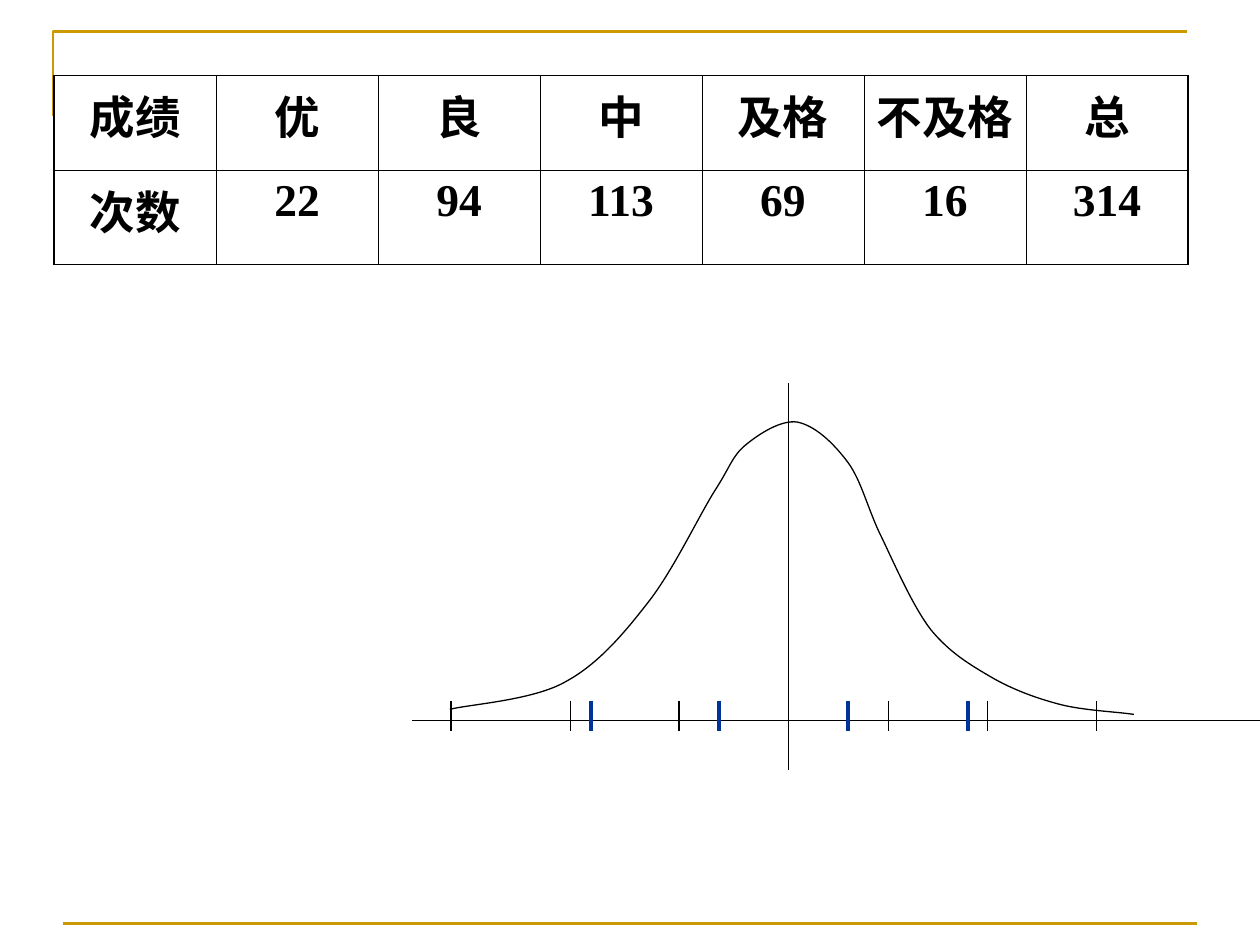
from dataclasses import dataclass

from lxml import etree
from pptx import Presentation
from pptx import util as u
from pptx.dml.color import RGBColor
from pptx.enum import shapes, text
from pptx.oxml.ns import qn

BLACK, GOLD, BLUE = "000000", "CC9900", "003399"
THIN, THICK = 0.45, 1.08
TABLE_LEFT, TABLE_TOP, TABLE_WIDTH, ROW_HEIGHT = 0.43, 0.6, 9, 0.75

GRADES = [
    ["成绩", "优", "良", "中", "及格", "不及格", "总"],
    ["次数", "22", "94", "113", "69", "16", "314"],
]

BELL_START = (3.57, 5.63)
BELL_CURVES = [
    [(3.72, 5.59), (4.23, 5.56), (4.49, 5.41)],
    [(4.75, 5.27), (4.96, 5.02), (5.16, 4.76)],
    [(5.35, 4.51), (5.54, 4.11), (5.67, 3.9)],
    [(5.8, 3.7), (5.81, 3.62), (5.92, 3.53)],
    [(6.03, 3.44), (6.2, 3.33), (6.33, 3.35)],
    [(6.47, 3.38), (6.61, 3.51), (6.73, 3.67)],
    [(6.84, 3.82), (6.89, 4.05), (7, 4.27)],
    [(7.11, 4.5), (7.25, 4.82), (7.39, 5)],
    [(7.54, 5.18), (7.69, 5.27), (7.86, 5.37)],
    [(8.03, 5.47), (8.22, 5.54), (8.41, 5.59)],
    [(8.6, 5.64), (8.88, 5.65), (9, 5.67)],
]


@dataclass
class Rule:
    x1: float
    y1: float
    x2: float
    y2: float
    color: str = BLACK
    width: float = 0.75


def tick(x: float, color: str = BLACK, width: float = 0.75) -> Rule:
    return Rule(x, 5.56, x, 5.8, color, width)


FOOTER = Rule(0.5, 7.33, 9.5, 7.33, GOLD, 1.5)
AXES = [
    Rule(3.27, 5.72, 10, 5.72),
    Rule(6.34, 3.12, 6.34, 3.12),
    Rule(6.26, 3.04, 6.26, 6.11),
]
SIGMA_TICKS = [tick(x) for x in (3.58, 4.53, 5.39, 7.05, 7.84, 8.7)]
GRADE_TICKS = [tick(x, BLUE, 2.25) for x in (4.69, 5.71, 6.73, 7.68)]


def rgb(color: str) -> RGBColor:
    return RGBColor.from_string(color)


def style_line(line, color: str, width: float) -> None:
    line.color.rgb = rgb(color)
    line.width = u.Pt(width)


def draw_rule(slide, rule: Rule) -> None:
    ends = [u.Inches(v) for v in (rule.x1, rule.y1, rule.x2, rule.y2)]
    connector = slide.shapes.add_connector(shapes.MSO_CONNECTOR.STRAIGHT, *ends)
    style_line(connector.line, rule.color, rule.width)
    etree.SubElement(connector._element.spPr, qn("a:effectLst"))


def draw_path(slide, points: list, color: str, width: float):
    start, *rest = [(u.Inches(x), u.Inches(y)) for x, y in points]
    builder = slide.shapes.build_freeform(*start)
    builder.add_line_segments(rest, close=False)
    outline = builder.convert_to_shape()
    outline.shadow.inherit = False
    outline.fill.background()
    style_line(outline.line, color, width)
    return outline


def draw_bell(slide) -> None:
    anchors = [BELL_START] + [curve[-1] for curve in BELL_CURVES]
    bell = draw_path(slide, anchors, BLACK, 0.75)
    segments = list(bell._element.iter(qn("a:lnTo")))
    for segment, curve in zip(segments, BELL_CURVES):
        bezier = etree.Element(qn("a:cubicBezTo"))
        for x, y in curve:
            point = etree.SubElement(bezier, qn("a:pt"))
            point.set("x", str(u.Inches(x) - bell.left))
            point.set("y", str(u.Inches(y) - bell.top))
        segment.getparent().replace(segment, bezier)


def set_borders(cell, widths: dict[str, float]) -> None:
    properties = cell._tc.get_or_add_tcPr()
    for index, (side, width) in enumerate(widths.items()):
        border = etree.Element(qn(f"a:ln{side}"), w=str(u.Pt(width)))
        fill = etree.SubElement(border, qn("a:solidFill"))
        etree.SubElement(fill, qn("a:srgbClr"), val=BLACK)
        properties.insert(index, border)


def fill_cell(cell, label: str) -> None:
    cell.fill.background()
    cell.text_frame.text = label
    paragraph = cell.text_frame.paragraphs[0]
    paragraph.alignment = text.PP_ALIGN.CENTER
    paragraph.space_before = u.Pt(6.5)
    font = paragraph.runs[0].font
    font.name = "Times New Roman"
    font.size = u.Pt(26)
    font.bold = True
    font.color.rgb = rgb(BLACK)


def draw_grades(slide) -> None:
    last_row, last_column = len(GRADES) - 1, len(GRADES[0]) - 1
    area = (TABLE_LEFT, TABLE_TOP, TABLE_WIDTH, ROW_HEIGHT * len(GRADES))
    table = slide.shapes.add_table(
        len(GRADES), len(GRADES[0]), *[u.Inches(v) for v in area]
    ).table
    table.first_row = table.horz_banding = False
    for r, labels in enumerate(GRADES):
        for c, label in enumerate(labels):
            cell = table.cell(r, c)
            fill_cell(cell, label)
            outer = {"L": c == 0, "R": c == last_column, "T": r == 0, "B": r == last_row}
            set_borders(cell, {s: THICK if edge else THIN for s, edge in outer.items()})


def main() -> None:
    deck = Presentation()
    deck.slide_width, deck.slide_height = u.Inches(10), u.Inches(7.5)
    slide = deck.slides.add_slide(deck.slide_layouts[6])
    draw_path(slide, [(0.42, 0.92), (0.42, 0.25), (9.42, 0.25)], GOLD, 1.5)
    draw_rule(slide, FOOTER)
    draw_grades(slide)
    draw_bell(slide)
    for rule in AXES + SIGMA_TICKS + GRADE_TICKS:
        draw_rule(slide, rule)
    deck.save("out.pptx")


if __name__ == "__main__":
    main()
